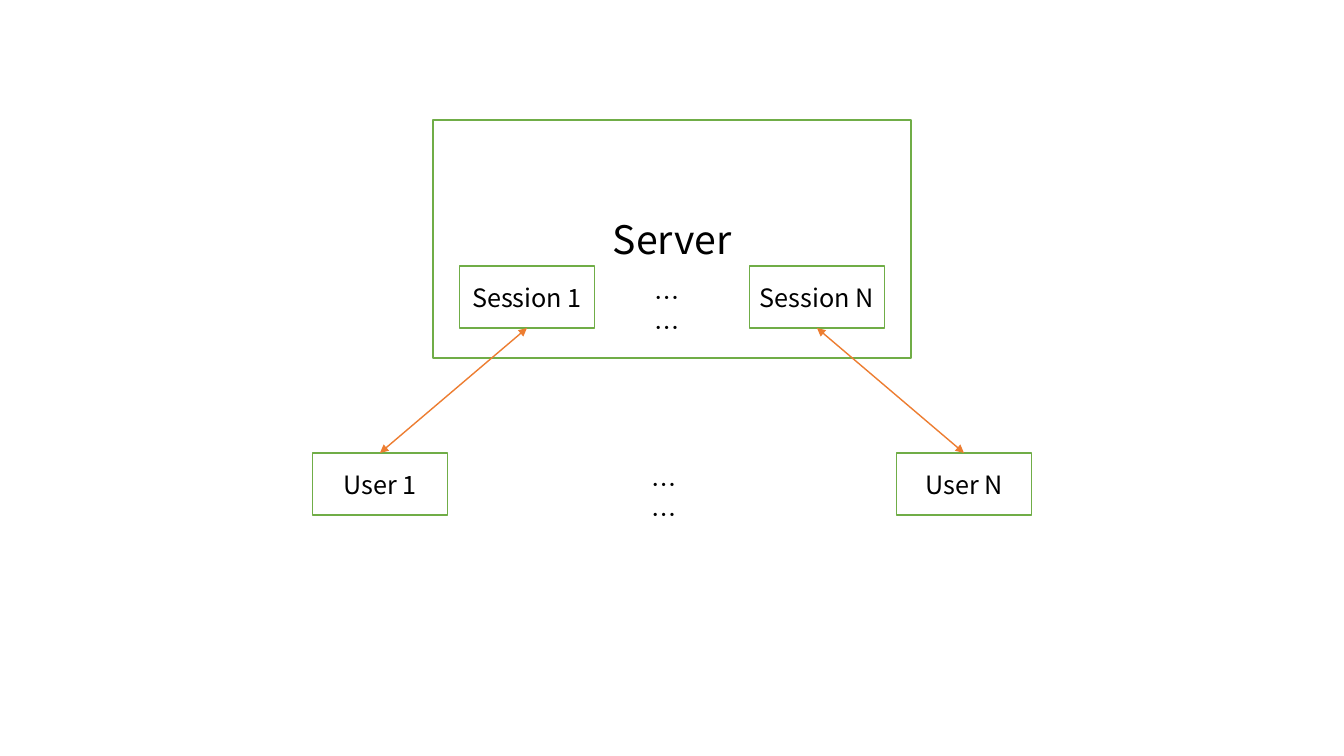
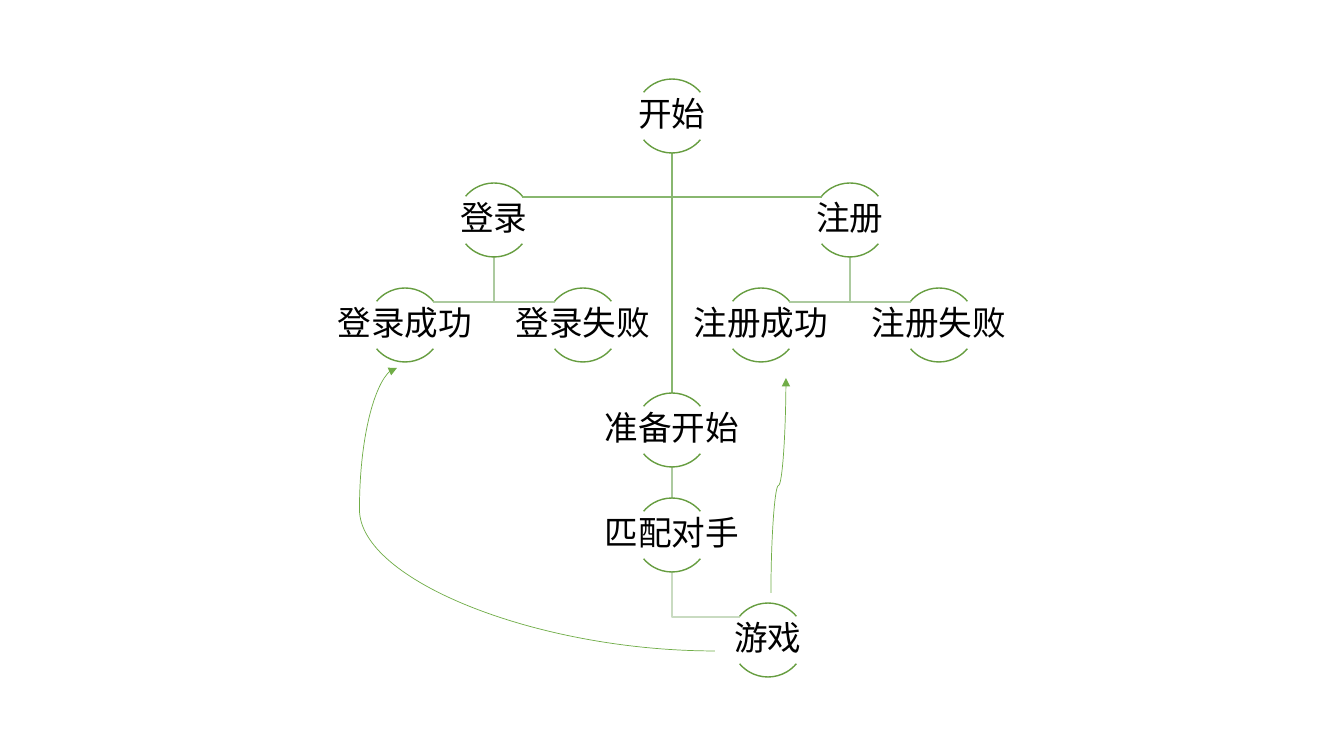
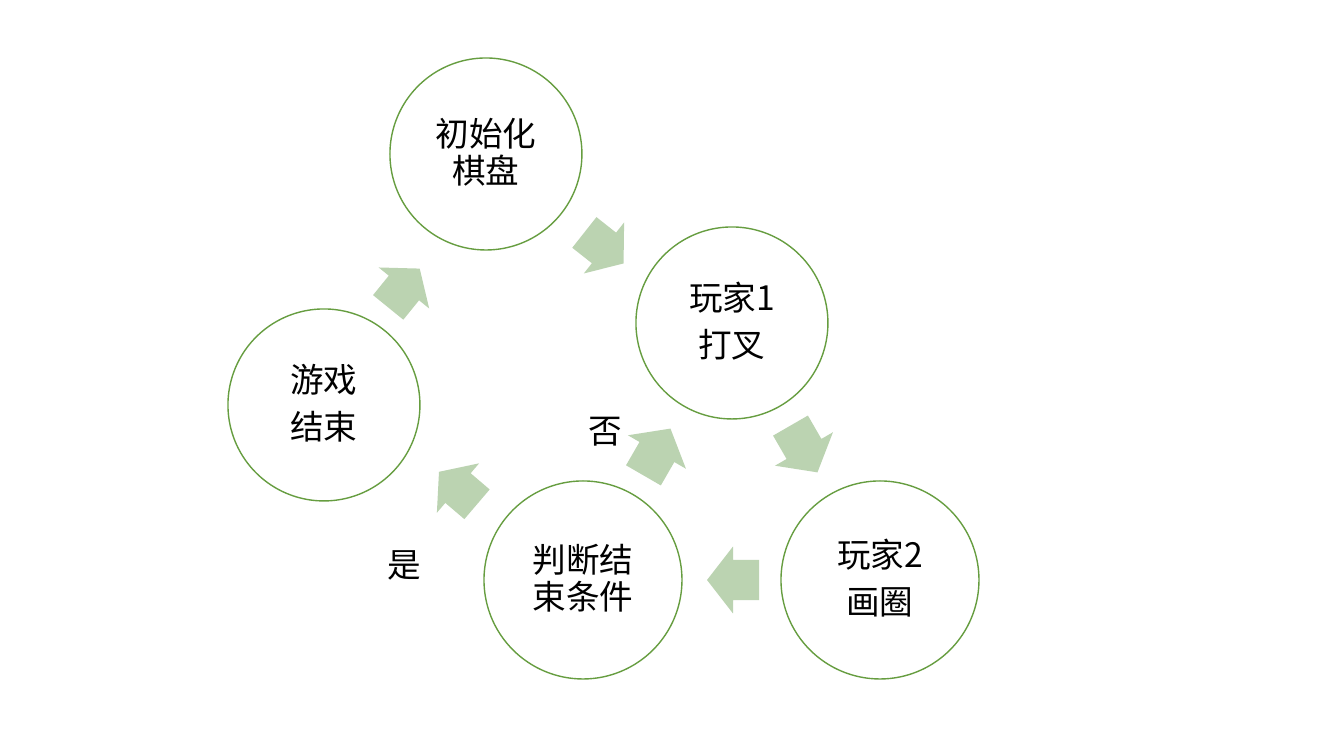
"""Three diagrams of a two-player board game: sessions, menu flow and game loop."""
from pptx import Presentation
from pptx.dml.color import RGBColor
from pptx.enum.shapes import MSO_CONNECTOR as CONN, MSO_SHAPE as SHAPE
from pptx.enum.text import MSO_ANCHOR as ANCHOR, PP_ALIGN as ALIGN
from pptx.oxml.ns import qn
from pptx.util import Pt
from lxml.etree import SubElement

PX = 12192000 / 1344
FONT = "Noto Sans CJK SC"
C = {"white": "FFFFFF", "black": "000000", "green": "70AD47", "ring": "669D40",
     "orange": "ED7D31", "arrow": "BBD3B1",
     "edges": ["88B76F", "ACCA9F", "C9DBC1"]}
PLAIN = {"size": 18, "inset": (10, 5), "para": {"alignment": ALIGN.CENTER}}
SERVER = {**PLAIN, "size": 28}
DOTS = {**PLAIN, "para": {"alignment": ALIGN.LEFT}, "anchor": ANCHOR.TOP}
NODE = {"size": 24, "inset": (2, 2),
        "para": {"alignment": ALIGN.CENTER, "line_spacing": 0.9, "space_after": Pt(8)}}
STEP = {**NODE, "inset": (3, 3)}


def add(s, kind, cx, cy, w, h, text="", fmt=PLAIN, fill=None, line=None, adj=(), rot=0):
    """Add a shape, or a text box when kind is None, centred on a point."""
    at = [round(v * PX) for v in (cx - w / 2, cy - h / 2, w, h)]
    sp = s.shapes.add_textbox(*at) if kind is None else s.shapes.add_shape(kind, *at)
    sp.rotation = rot
    if kind is not None:
        sp.shadow.inherit = False
        for i, value in enumerate(adj):
            sp.adjustments[i] = value
        for part, color in ((sp.fill, fill), (sp.line.fill, line)):
            if color:
                part.solid()
                part.fore_color.rgb = RGBColor.from_string(color)
            else:
                part.background()
        if line:
            sp.line.width = Pt(1)
    if not text:
        return
    tf = sp.text_frame
    tf.word_wrap = True
    tf.vertical_anchor = fmt.get("anchor", ANCHOR.MIDDLE)
    for side, inset in zip(("left", "right", "top", "bottom"), sorted(fmt["inset"] * 2, reverse=True)):
        setattr(tf, f"margin_{side}", round(inset * PX))
    for i, words in enumerate(text.split("\n")):
        p = tf.add_paragraph() if i else tf.paragraphs[0]
        for name, value in fmt["para"].items():
            setattr(p, name, value)
        r = p.add_run()
        r.text = words
        r.font.name = FONT
        r.font.size = Pt(fmt["size"])
        r.font.color.rgb = RGBColor.from_string(C["black"])
        SubElement(r.font._element, qn("a:ea"), typeface=FONT)


def link(s, kind, start, end, color, width=1, ends=(), adj=None, rot=0):
    """Add a connector with optional arrowheads."""
    c = s.shapes.add_connector(kind, *[round(v * PX) for v in (*start, *end)])
    c.rotation = rot
    c.line.color.rgb = RGBColor.from_string(color)
    c.line.width = Pt(width)
    spPr = c.element.spPr
    for tag in ends:
        SubElement(spPr.find(qn("a:ln")), qn(f"a:{tag}"), type="triangle")
    SubElement(spPr, qn("a:effectLst"))
    if adj:
        guides = spPr.find(qn("a:prstGeom")).find(qn("a:avLst"))
        SubElement(guides, qn("a:gd"), name="adj1", fmla=f"val {adj}")


prs = Presentation()
prs.slide_width, prs.slide_height = round(1344 * PX), round(756 * PX)
blank = prs.slide_layouts[6]

s = prs.slides.add_slide(blank)
MID = 672
BOX_W, BOX_H, SESSION_Y, USER_Y = 135, 62, 297, 484
add(s, SHAPE.RECTANGLE, MID, 239, 478, 238, "Server", SERVER, C["white"], C["green"])
for side, name in ((-1, "1"), (1, "N")):
    session_x, user_x = MID + side * 145, MID + side * 292
    for x, y, label in ((session_x, SESSION_Y, "Session"), (user_x, USER_Y, "User")):
        add(s, SHAPE.RECTANGLE, x, y, BOX_W, BOX_H, f"{label} {name}", PLAIN, C["white"], C["green"])
    link(s, CONN.STRAIGHT, (session_x, SESSION_Y + BOX_H // 2), (user_x, USER_Y - BOX_H // 2),
         C["orange"], ends=("headEnd", "tailEnd"))
for x, y in ((672, 297), (670, 484)):
    add(s, None, x, y, 56, 40, "……", DOTS)

s = prs.slides.add_slide(blank)
COL, RING, ARM_X, ARM_Y = 89, 74, 28, 23
nodes = {}
for name, x, row in (("开始", 0, 0), ("准备开始", 0, 3), ("匹配对手", 0, 4), ("游戏", 96, 5),
                     ("登录", -2 * COL, 1), ("登录成功", -3 * COL, 2), ("登录失败", -COL, 2),
                     ("注册", 2 * COL, 1), ("注册成功", COL, 2), ("注册失败", 3 * COL, 2)):
    nodes[name] = (MID + x, 116 + row * 524 // 5)
for depth, parent, child in ((1, "注册", "注册失败"), (1, "注册", "注册成功"), (0, "开始", "注册"),
                             (1, "登录", "登录失败"), (1, "登录", "登录成功"), (0, "开始", "登录"),
                             (2, "匹配对手", "游戏"), (1, "准备开始", "匹配对手"), (0, "开始", "准备开始")):
    (x1, y1), (x2, y2) = nodes[parent], nodes[child]
    y1 += RING // 2
    color = C["edges"][depth]
    if x1 == x2:
        link(s, CONN.STRAIGHT, (x1, y1), (x2, y2 - RING // 2), color)
        continue
    elbow = s.shapes.build_freeform(x1, y1, scale=PX)
    arm_end = x2 - ARM_X if x2 > x1 else x2 + ARM_X
    elbow.add_line_segments([(x1, y2 - ARM_Y), (arm_end, y2 - ARM_Y)], close=False)
    sp = elbow.convert_to_shape()
    sp.shadow.inherit = False
    sp.fill.background()
    sp.line.color.rgb = RGBColor.from_string(color)
    sp.line.width = Pt(1)
for name, (x, y) in nodes.items():
    for angles in ((132, 192), (24, 84)):
        add(s, SHAPE.ARC, x, y, RING, RING, line=C["ring"], adj=angles)
    add(s, None, x, y, 147, 47, name, NODE)
for start, end, adj, rot in (((715, 651), (397, 368), 111800, 0),
                             ((886, 493), (671, 478), 50000, 90)):
    link(s, CONN.CURVE, start, end, C["green"], 0.5, ("tailEnd",), adj, rot)

s = prs.slides.add_slide(blank)
for text, x, y, size in (("玩家1\n打叉", 732, 323, 192), ("玩家2\n画圈", 880, 580, 198),
                         ("判断结束条件", 583, 580, 198), ("初始化棋盘", 486, 154, 192),
                         ("游戏\n结束", 324, 405, 192)):
    add(s, SHAPE.OVAL, x, y, size, size, text, STEP, C["white"], C["ring"])
for x, y, w, h, rot in ((804, 449, 54, 67, 60), (733, 580, 52, 67, 180), (657, 452, 54, 67, 300),
                        (604, 248, 50, 65, 38.3), (458, 488, 50, 65, 220.5), (404, 288, 50, 65, 309.1)):
    add(s, SHAPE.RIGHT_ARROW, x, y, w, h, fill=C["arrow"], adj=(0.6, 0.5), rot=rot)
for text, x, y, w, h in (("否", 605, 433, 135, 135), ("是", 404, 567, 94, 104)):
    add(s, None, x, y, w, h, text, STEP)

prs.save("out.pptx")
